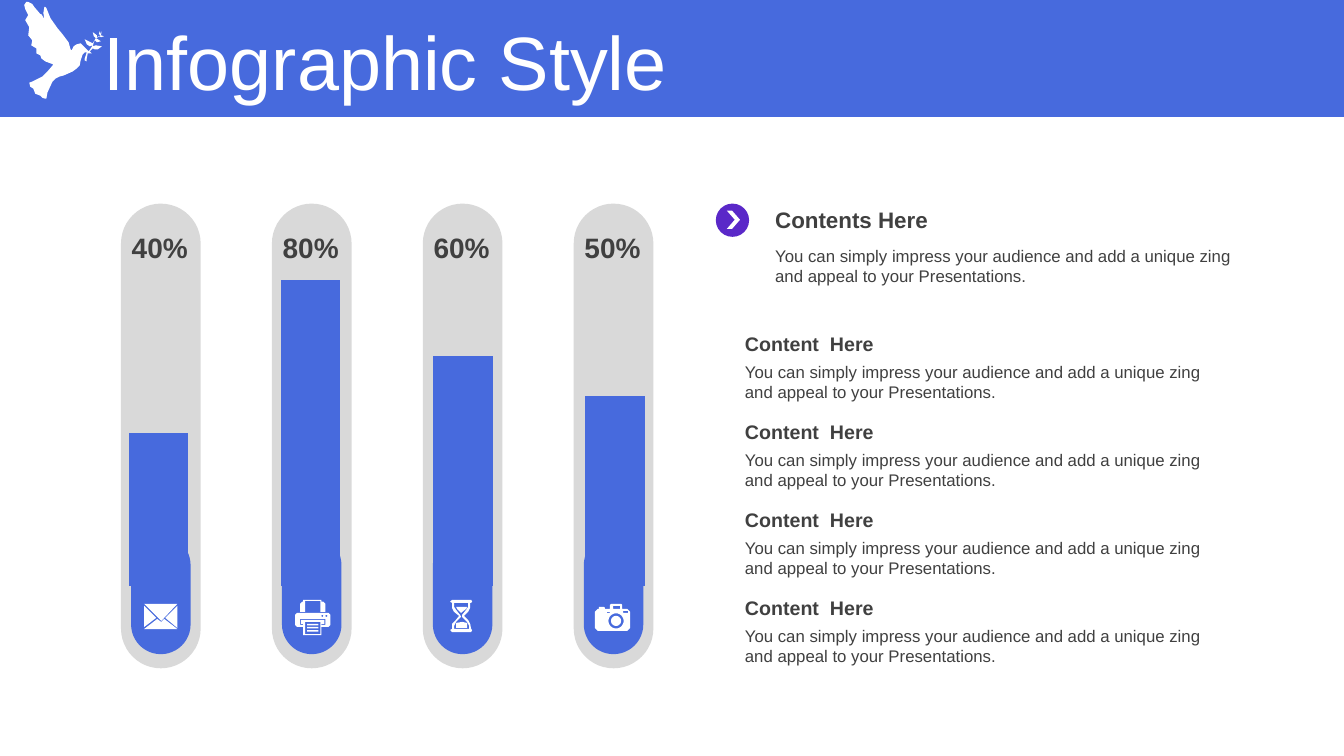
import math

from lxml import etree
from pptx import Presentation
from pptx import util as u
from pptx.chart.data import CategoryChartData
from pptx.dml.color import RGBColor
from pptx.enum import chart as charts, shapes, text
from pptx.oxml.ns import qn

COLORS = {"blue": "476ADD", "purple": "5A28C8", "track": "D9D9D9",
          "ink": "404040", "white": "FFFFFF"}
FONT = "Arial"
BODY = "You can simply impress your audience and add a unique zing and appeal to your Presentations."


def rect(left, top, right, bottom):
    return [(left, top), (right, top), (right, bottom), (left, bottom)]


def circle(x, y, radius, steps=32):
    angles = [2 * math.pi * i / steps for i in range(steps)]
    return [(x + radius * math.cos(a), y + radius * math.sin(a)) for a in angles]


# Outlines are in hundredths of an inch; inner outlines cut holes.
DOVE = [[
    (35, 93), (33, 88), (30, 86), (29, 82), (32, 81), (42, 76), (47, 71), (53, 64),
    (45, 61), (41, 58), (40, 55), (36, 53), (36, 48), (31, 45), (32, 40), (28, 35),
    (29, 27), (25, 20), (28, 15), (25, 9), (24, 5), (26, 2), (28, 2), (32, 4),
    (34, 7), (40, 14), (41, 14), (44, 19), (43, 13), (44, 7), (45, 7), (46, 8),
    (50, 18), (57, 28), (62, 34), (68, 42), (70, 49), (71, 50), (73, 46), (76, 44),
    (80, 43), (85, 48), (88, 51), (92, 45), (89, 46), (86, 44), (84, 39), (88, 41),
    (92, 43), (95, 38), (93, 36), (92, 32), (96, 35), (96, 37), (100, 35), (98, 34),
    (99, 31), (100, 34), (101, 31), (100, 35), (103, 36), (100, 37), (99, 36),
    (95, 38), (97, 39), (100, 41), (96, 42), (94, 40), (93, 42), (92, 46), (95, 45),
    (101, 46), (97, 49), (94, 49), (92, 48), (89, 51), (91, 53), (87, 53), (86, 58),
    (86, 61), (84, 60), (84, 58), (86, 52), (84, 52), (82, 54), (81, 57), (80, 60),
    (79, 65), (76, 68), (72, 71), (63, 75), (59, 76), (55, 78), (52, 81), (47, 92),
    (46, 98), (45, 98), (42, 97), (40, 95)]]
ENVELOPE = [
    [(0, 0), (33, 0), (17, 17)],
    [(0, 2), (12, 14), (0, 23)],
    [(33, 2), (33, 24), (21, 14)],
    [(20, 15), (33, 25), (0, 25), (13, 15), (17, 18)]]
PRINTER = [
    [(2, 13), (33, 13), (35, 15), (35, 25), (33, 27), (26, 27), (26, 35), (8, 35),
     (8, 27), (2, 27), (0, 25), (0, 15)],
    [(5, 19), (30, 19), (30, 25), (26, 25), (26, 24), (29, 24), (29, 20), (6, 20),
     (6, 24), (8, 24), (8, 25), (5, 25)],
    rect(10, 22, 25, 34),
    *[rect(12, y, 23, y + 1.5) for y in (24, 27, 30)],
    circle(27, 16, 1), circle(31, 16, 1),
    [(8, 0), (26, 0), (26, 2), (28, 2), (30, 4), (30, 12), (25, 12), (25, 1),
     (10, 1), (10, 12), (5, 12), (5, 4), (7, 2), (8, 2)]]
HOURGLASS = [
    [(2, 0), (21, 0), (22, 2), (21, 3), (20, 3), (20, 8), (18, 12), (14, 16),
     (18, 20), (20, 24), (21, 29), (22, 30), (21, 32), (2, 32), (0, 30), (2, 29),
     (2, 24), (5, 21), (9, 16), (4, 12), (2, 8), (2, 3), (0, 2)],
    [(4, 3), (4, 7), (6, 10), (10, 15), (11, 17), (6, 22), (4, 26), (4, 29),
     (19, 29), (19, 26), (17, 22), (12, 17), (12, 15), (16, 10), (18, 7), (18, 3)],
    [(6, 7), (17, 7), (16, 9), (11, 13), (7, 9)],
    [(12, 22), (17, 23), (17, 28), (6, 28), (6, 23)]]
CAMERA = [
    [(16, 0), (26, 0), (27, 1), (27, 5), (32, 5), (35, 8), (35, 24), (32, 27),
     (3, 27), (0, 24), (0, 8), (3, 5), (4, 5), (4, 3), (9, 3), (10, 4), (10, 5),
     (15, 5), (15, 1)],
    rect(18, 2, 25, 5), rect(28, 7, 33, 9), rect(12, 8, 15, 9),
    circle(21, 17, 7.5), circle(21, 17, 5)]

# Label, bar value, icon outlines, icon offset from the tube's left, icon top
TUBES = [("40%", 50, ENVELOPE, 0.23, 5.99), ("80%", 100, PRINTER, 0.23, 5.95),
         ("60%", 75, HOURGLASS, 0.27, 5.95), ("50%", 62, CAMERA, 0.21, 5.99)]


def paint(shape, color):
    shape.fill.solid()
    shape.fill.fore_color.rgb = RGBColor.from_string(COLORS[color])
    shape.line.fill.background()
    shape.shadow.inherit = False


def add_preset(slide, kind, box, color, adjustment=None):
    shape = slide.shapes.add_shape(kind, *map(u.Inches, box))
    if adjustment is not None:
        shape.adjustments[0] = adjustment
    paint(shape, color)
    return shape


def add_outlines(slide, outlines, left, top):
    """Draw white closed outlines as one freeform."""
    contours = [[(x * 10, y * 10) for x, y in outline] for outline in outlines]
    builder = slide.shapes.build_freeform(*contours[0][0], scale=u.Inches(1) / 1000)
    for index, points in enumerate(contours):
        if index:
            builder.move_to(*points[0])
        builder.add_line_segments(points[1:], close=True)
    shape = builder.convert_to_shape(u.Inches(left), u.Inches(top))
    paint(shape, "white")
    return shape


def style_text(shape, words, size, color, bold=False, align=text.PP_ALIGN.LEFT,
               anchor=text.MSO_ANCHOR.MIDDLE):
    frame = shape.text_frame
    frame.text = words
    frame.word_wrap = True
    frame.vertical_anchor = anchor
    paragraph = frame.paragraphs[0]
    paragraph.alignment = align
    font = paragraph.runs[0].font
    font.name, font.size, font.bold = FONT, u.Pt(size), bold
    font.color.rgb = RGBColor.from_string(COLORS[color])


def add_text(slide, box, words, size, **style):
    shape = slide.shapes.add_textbox(*map(u.Inches, box))
    style_text(shape, words, size, "ink", **style)


def add_header(slide, width, height):
    band = add_preset(slide, shapes.MSO_SHAPE.RECTANGLE, (0, 0, width, height), "blue")
    dove = add_outlines(slide, DOVE, 0, 0)
    title = slide.shapes.title
    title.left, title.top, title.width, title.height = map(u.Inches, (0.93, 0.26, 11.85, 0.79))
    style_text(title, "Infographic Style", 54, "white")
    title.text_frame.auto_size = text.MSO_AUTO_SIZE.NONE
    title.text_frame.paragraphs[0].line_spacing = 0.9
    for backdrop in (band, dove):
        title.element.addprevious(backdrop.element)


def add_bars(slide, box):
    data = CategoryChartData()
    data.categories = [str(i + 1) for i in range(len(TUBES))]
    data.add_series("Series 1", [tube[1] for tube in TUBES])
    chart = slide.shapes.add_chart(charts.XL_CHART_TYPE.COLUMN_STACKED,
                                   *map(u.Inches, box), data).chart
    chart.has_legend = chart.has_title = False
    chart.font.name, chart.font.size = FONT, u.Pt(18)
    axis = chart.value_axis
    axis.minimum_scale, axis.maximum_scale = 0, 100
    axis.has_major_gridlines = False
    axis.visible = chart.category_axis.visible = False
    plot = chart.plots[0]
    plot.gap_width, plot.overlap, plot.vary_by_categories = 155, 100, False
    fill = plot.series[0].format.fill
    fill.solid()
    fill.fore_color.rgb = RGBColor.from_string(COLORS["blue"])

    area = chart.element.find(".//" + qn("c:plotArea"))
    for old in area.findall(qn("c:layout")):
        area.remove(old)
    layout = etree.Element(qn("c:layout"))
    manual = etree.SubElement(layout, qn("c:manualLayout"))
    for tag, value in (("layoutTarget", "inner"), ("xMode", "edge"), ("yMode", "edge"),
                       ("x", 0.02), ("y", 0.13), ("w", 0.96), ("h", 0.85)):
        etree.SubElement(manual, qn("c:" + tag)).set("val", str(value))
    area.insert(0, layout)


def add_tubes(slide, left, top, right):
    """Draw the tubes; right is the left edge of the last one."""
    pitch = (right - left) / (len(TUBES) - 1)
    lefts = [left + i * pitch for i in range(len(TUBES))]
    rounded = shapes.MSO_SHAPE.ROUNDED_RECTANGLE
    for x in lefts:
        add_preset(slide, rounded, (x, top, 0.79, 4.61), "track", 0.5)
        add_preset(slide, rounded, (x + 0.1, top + 3.29, 0.59, 1.18), "blue", 0.5)
    add_bars(slide, (left - 0.51, top + 0.29, 6.29, 3.58))
    for x, (label, _, icon, offset, icon_top) in zip(lefts, TUBES):
        add_text(slide, (x, top + 0.21, 0.77, 0.44), label, 20, bold=True,
                 align=text.PP_ALIGN.CENTER)
        add_outlines(slide, icon, x + offset, icon_top)


def add_entry(slide, left, top, width, heading, size, heading_height, body_offset):
    add_text(slide, (left, top, width, heading_height), heading, size, bold=True)
    add_text(slide, (left, top + body_offset, width, 0.5), BODY, 12,
             anchor=text.MSO_ANCHOR.TOP)


def add_contents(slide, left, top):
    add_preset(slide, shapes.MSO_SHAPE.OVAL, (left, top, 0.33, 0.33), "purple")
    add_preset(slide, shapes.MSO_SHAPE.CHEVRON, (left + 0.11, top + 0.07, 0.13, 0.18),
               "white", 0.6)
    add_entry(slide, left + 0.49, top - 0.03, 4.74, "Contents Here", 16, 0.37, 0.4)
    for i in range(4):
        add_entry(slide, left + 0.19, top + 1.22 + i * 2.62 / 3, 5.04,
                  "Content  Here", 14, 0.34, 0.3)


def main():
    presentation = Presentation()
    presentation.slide_width, presentation.slide_height = u.Inches(13.33), u.Inches(7.5)
    slide = presentation.slides.add_slide(presentation.slide_layouts[5])
    add_header(slide, 13.33, 1.16)
    add_tubes(slide, 1.2, 2.02, 5.69)
    add_contents(slide, 7.1, 2.02)
    presentation.save("out.pptx")


if __name__ == "__main__":
    main()
